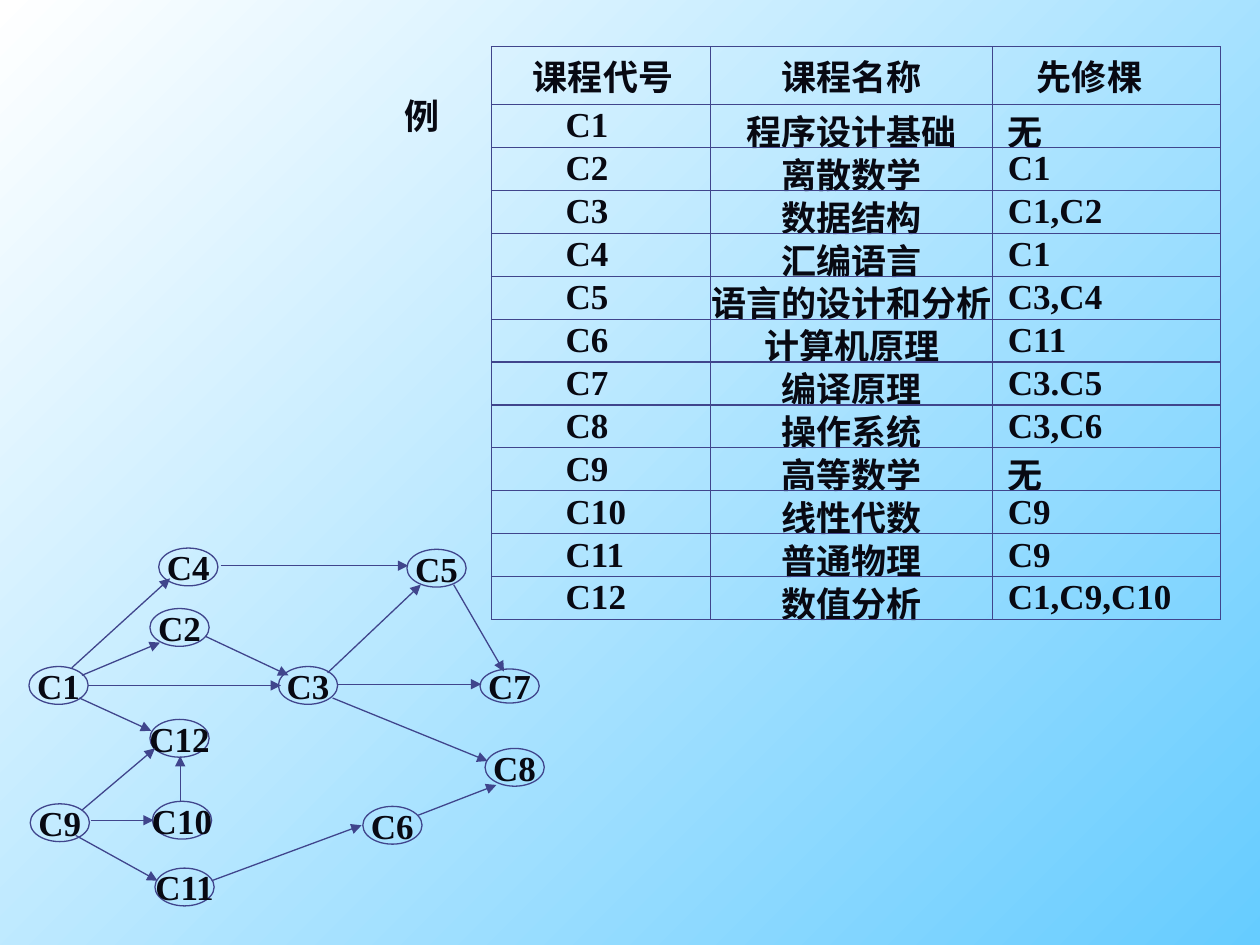
from lxml import etree
from pptx import Presentation
from pptx.dml.color import RGBColor
from pptx.enum.shapes import MSO_CONNECTOR as CONN, MSO_SHAPE as SHAPE
from pptx.enum.text import MSO_ANCHOR as ANCHOR, PP_ALIGN as ALIGN
from pptx.oxml import parse_xml
from pptx.oxml.ns import nsdecls, qn
from pptx.util import Inches, Pt

INK = "080912"
LINE = "40458C"

COURSES = [
    ("课程代号", "课程名称", "先修棵"),
    ("C1", "程序设计基础", "无"),
    ("C2", "离散数学", "C1"),
    ("C3", "数据结构", "C1,C2"),
    ("C4", "汇编语言", "C1"),
    ("C5", "语言的设计和分析", "C3,C4"),
    ("C6", "计算机原理", "C11"),
    ("C7", "编译原理", "C3.C5"),
    ("C8", "操作系统", "C3,C6"),
    ("C9", "高等数学", "无"),
    ("C10", "线性代数", "C9"),
    ("C11", "普通物理", "C9"),
    ("C12", "数值分析", "C1,C9,C10"),
]
COLUMN_WIDTHS = (1.74, 2.24, 1.81)
HEADER_INDENTS = (0.33, 0, 0.35)
BODY_INDENTS = (0.59, 0, 0.12)

NODES = {
    "C1": (0.23, 5.29), "C2": (1.19, 4.83), "C3": (2.21, 5.29),
    "C4": (1.26, 4.35), "C5": (3.23, 4.36), "C6": (2.88, 6.4),
    "C7": (3.81, 5.31), "C8": (3.85, 5.94), "C9": (0.24, 6.38),
    "C10": (1.21, 6.36), "C11": (1.23, 6.89), "C12": (1.19, 5.71),
}
ARROWS = [
    (0.7, 5.44, 2.23, 5.44), (0.65, 5.36, 1.27, 5.1),
    (1.63, 5.05, 2.29, 5.36), (0.57, 5.3, 1.35, 4.59),
    (1.75, 4.49, 3.24, 4.49), (2.6, 5.34, 3.34, 4.64),
    (2.68, 5.43, 3.82, 5.43), (3.6, 4.64, 4, 5.33),
    (0.63, 5.54, 1.2, 5.8), (0.65, 6.43, 1.23, 5.94),
    (0.72, 6.51, 1.22, 6.51), (1.43, 6.36, 1.43, 6),
    (0.6, 6.63, 1.25, 6.99), (1.68, 6.99, 2.87, 6.55),
    (3.32, 6.47, 3.94, 6.23), (2.64, 5.54, 3.87, 6.04),
]


def rgb(value):
    return RGBColor.from_string(value)


def write(tf, text, align=ALIGN.LEFT):
    tf.text = text
    p = tf.paragraphs[0]
    p.alignment = align
    font = p.runs[0].font
    font.name = "Times New Roman"
    font.size = Pt(20)
    font.bold = True
    font.color.rgb = rgb(INK)


def set_line(line):
    line.color.rgb = rgb(LINE)
    line.width = Pt(0.75)


def paint_background(s):
    fill = s.background.fill
    fill.gradient()
    fill.gradient_angle = 135
    for stop, color in zip(fill.gradient_stops, ("66CCFF", "FFFFFF")):
        stop.color.rgb = rgb(color)


def add_label(s, text, x, y, w, h):
    tf = s.shapes.add_textbox(Inches(x), Inches(y), Inches(w), Inches(h)).text_frame
    tf.word_wrap = False
    write(tf, text)


def set_borders(cell):
    tc_pr = cell._tc.get_or_add_tcPr()
    for i, side in enumerate(("lnL", "lnR", "lnT", "lnB")):
        tc_pr.insert(i, parse_xml(
            f'<a:{side} {nsdecls("a")} w="9525"><a:solidFill>'
            f'<a:srgbClr val="{LINE}"/></a:solidFill></a:{side}>'))


def fill_cell(cell, text, indent):
    cell.margin_left = Inches(indent)
    cell.margin_right = cell.margin_top = cell.margin_bottom = 0
    cell.vertical_anchor = ANCHOR.MIDDLE
    cell.fill.background()
    set_borders(cell)
    write(cell.text_frame, text, ALIGN.LEFT if indent else ALIGN.CENTER)


def add_course_table(s, x, y, w, h, header_h):
    rows = len(COURSES)
    table = s.shapes.add_table(rows, len(COLUMN_WIDTHS), Inches(x), Inches(y),
                               Inches(w), Inches(h)).table
    table.horz_banding = False
    table.first_row = False
    for column, width in zip(table.columns, COLUMN_WIDTHS):
        column.width = Inches(width)
    for i, course in enumerate(COURSES):
        table.rows[i].height = Inches((h - header_h) / (rows - 1) if i else header_h)
        for j, indent in enumerate(BODY_INDENTS if i else HEADER_INDENTS):
            fill_cell(table.cell(i, j), course[j], indent)


def add_node(s, name, x, y, h):
    sp = s.shapes.add_shape(SHAPE.OVAL, Inches(x), Inches(y), Inches(0.47), Inches(h))
    sp.shadow.inherit = False
    sp.fill.background()
    set_line(sp.line)
    tf = sp.text_frame
    tf.word_wrap = False
    tf.vertical_anchor = ANCHOR.MIDDLE
    write(tf, name, ALIGN.CENTER)


def add_arrow(s, *ends):
    c = s.shapes.add_connector(CONN.STRAIGHT, *(Inches(v) for v in ends))
    set_line(c.line)
    etree.SubElement(c.line._get_or_add_ln(), qn("a:tailEnd"), type="triangle")
    etree.SubElement(c._element.spPr, qn("a:effectLst"))


def main():
    prs = Presentation()
    prs.slide_width, prs.slide_height = Inches(10), Inches(7.5)
    s = prs.slides.add_slide(prs.slide_layouts[6])
    paint_background(s)
    add_label(s, "例", 3.11, 0.7, 0.48, 0.44)
    add_course_table(s, 3.9, 0.37, sum(COLUMN_WIDTHS), 4.55, 0.46)
    for name, (x, y) in NODES.items():
        add_node(s, name, x, y, 0.27 if name == "C7" else 0.3)
    for ends in ARROWS:
        add_arrow(s, *ends)
    prs.save("out.pptx")


if __name__ == "__main__":
    main()
